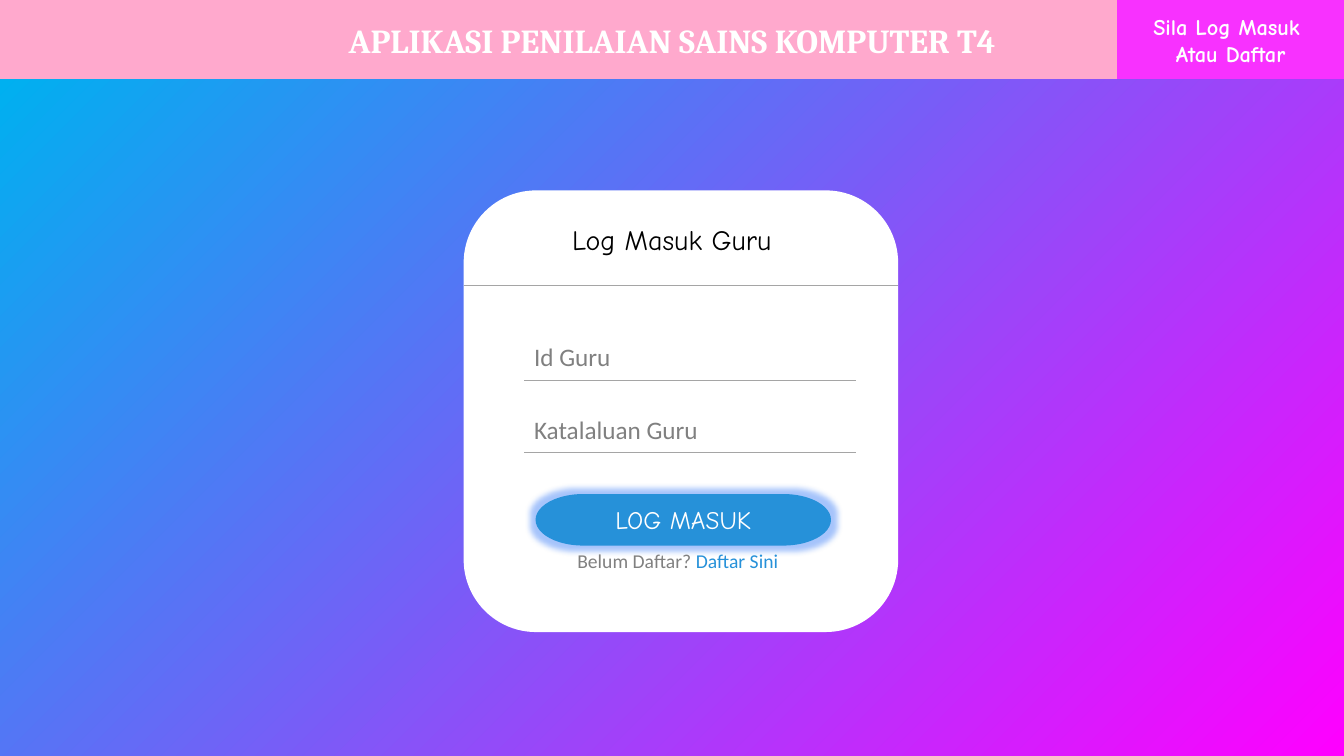
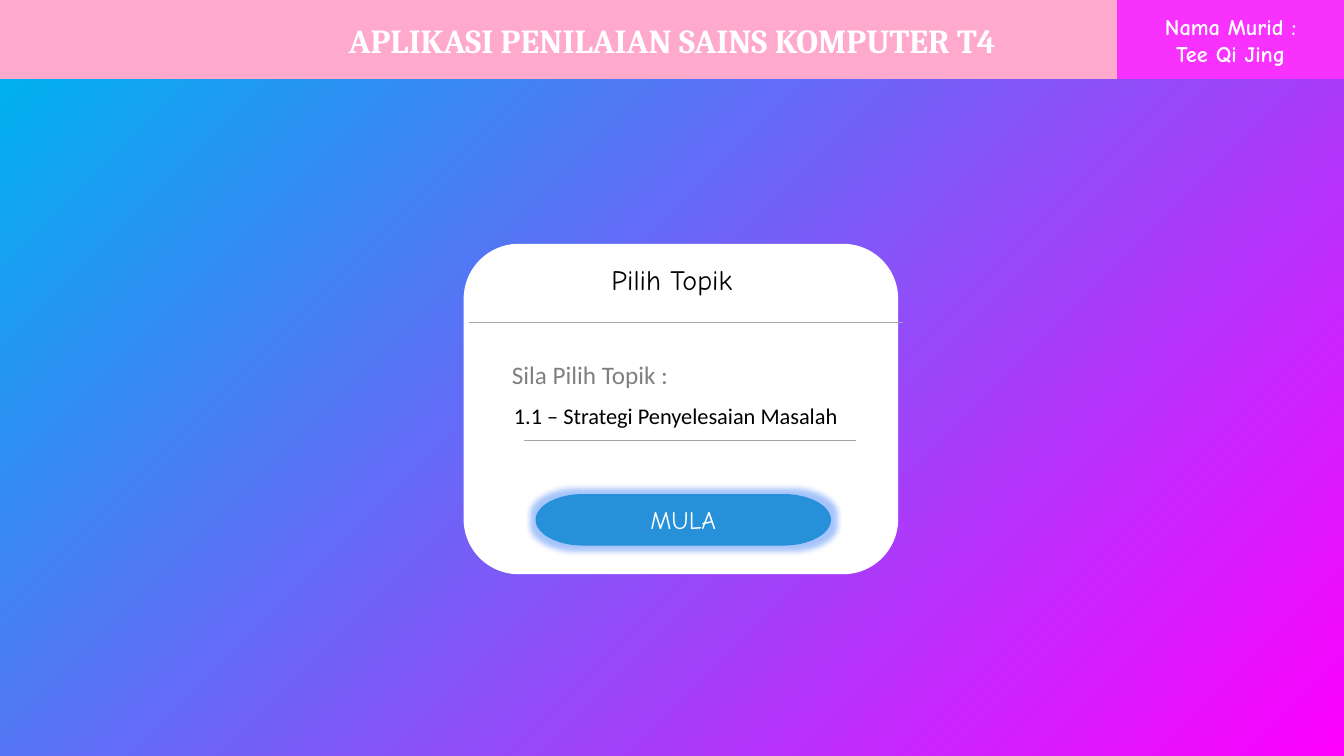
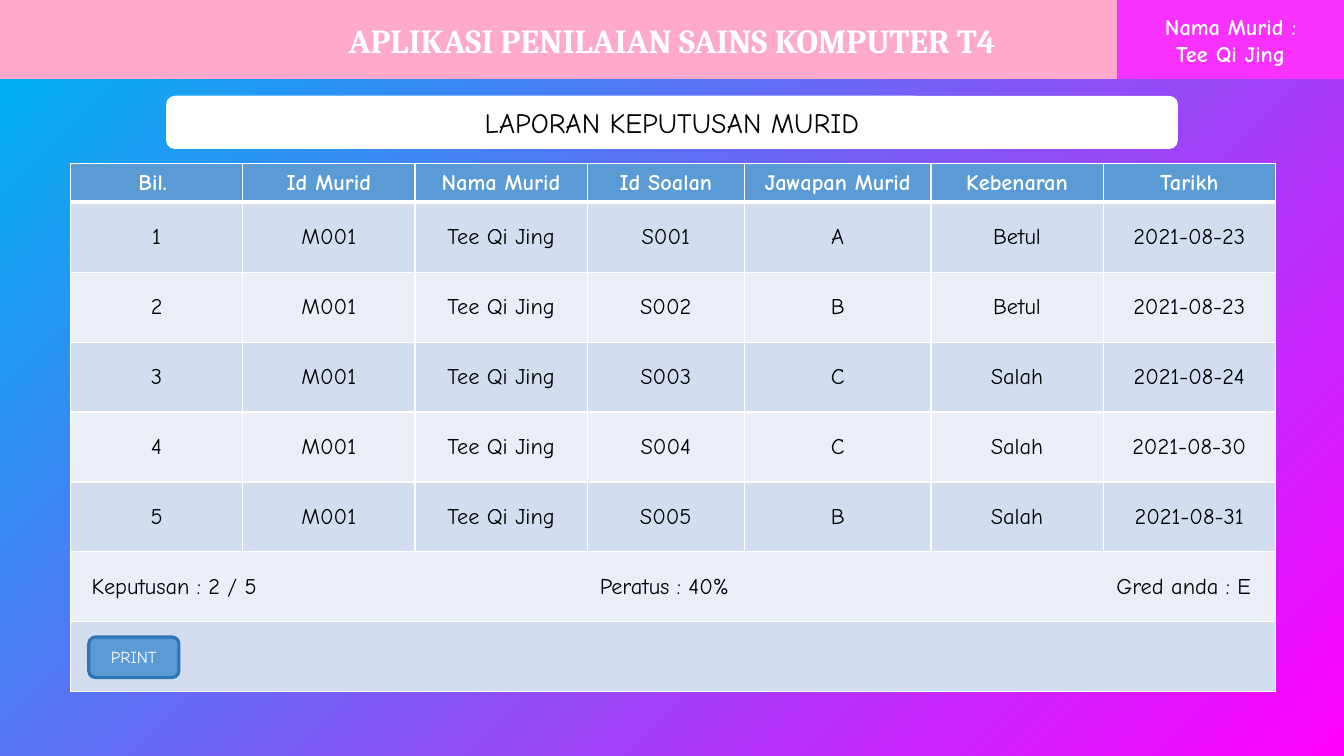
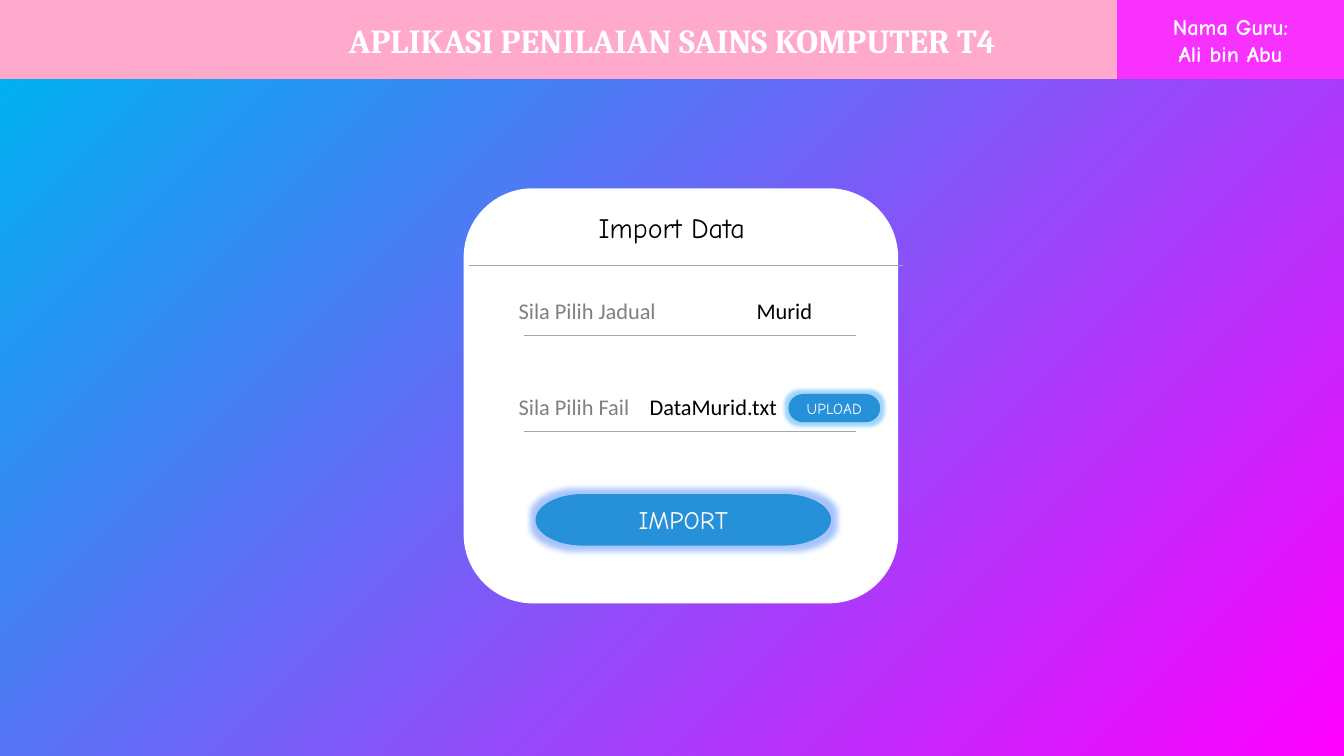
from dataclasses import dataclass, replace

from lxml.etree import SubElement
from pptx import Presentation
from pptx.dml.color import RGBColor
from pptx.enum.shapes import MSO_CONNECTOR, MSO_SHAPE
from pptx.enum.text import MSO_ANCHOR, MSO_AUTO_SIZE, PP_ALIGN
from pptx.oxml.ns import qn
from pptx.util import Pt

WHITE = RGBColor(0xFF, 0xFF, 0xFF)
BLACK = RGBColor(0x00, 0x00, 0x00)
GRAY = RGBColor(0x80, 0x80, 0x80)
RULE_GRAY = RGBColor(0xA5, 0xA5, 0xA5)
BANNER_PINK = RGBColor(0xFF, 0xA9, 0xCD)
USER_PINK = RGBColor(0xF8, 0x31, 0xFF)
MAGENTA = RGBColor(0xFF, 0x00, 0xFF)
CYAN = RGBColor(0x00, 0xB0, 0xF0)
BUTTON_BLUE = RGBColor(0x26, 0x91, 0xD9)
GLOW_BLUE = RGBColor(0x21, 0x6C, 0xF7)
GLOW_CYAN = RGBColor(0x10, 0x98, 0xF0)
TABLE_BLUE = RGBColor(0x5B, 0x9B, 0xD5)
PRINT_BORDER = RGBColor(0x2E, 0x75, 0xB6)
BAND_DARK = RGBColor(0xD2, 0xDE, 0xEF)
BAND_LIGHT = RGBColor(0xEA, 0xEF, 0xF7)

SLIDE_WIDTH, SLIDE_HEIGHT = 960, 540
BANNER_HEIGHT = 56.9
USER_LEFT = 798
CARD_LEFT, CARD_WIDTH = 331.2, 310.4
FIELD_LEFT, FIELD_WIDTH = 374.4, 236.9
STUDENT = ("Nama Murid :", "Tee Qi Jing")


@dataclass(frozen=True)
class TextStyle:
    font: str
    size: float
    color: RGBColor
    bold: bool = False
    align: PP_ALIGN = PP_ALIGN.CENTER


BANNER_TEXT = TextStyle("Cambria", 24, WHITE, True)
USER_TEXT = TextStyle("Comic Neue", 16, WHITE, True)
HEADING_TEXT = TextStyle("Comic Neue", 20, BLACK)
BUTTON_TEXT = TextStyle("Comic Neue", 18, WHITE)
CELL_TEXT = TextStyle("Comic Neue", 16, BLACK)
FIELD_TEXT = TextStyle("Calibri", 18, GRAY, align=PP_ALIGN.LEFT)
LABEL_TEXT = replace(FIELD_TEXT, size=16)
VALUE_TEXT = replace(LABEL_TEXT, color=BLACK)
HINT_TEXT = TextStyle("Calibri", 14, GRAY)


def box(left, top, width, height):
    return Pt(left), Pt(top), Pt(width), Pt(height)


def add_run(paragraph, text, style):
    paragraph.alignment = style.align
    run = paragraph.add_run()
    run.text = text
    run.font.name = style.font
    run.font.size = Pt(style.size)
    run.font.bold = style.bold
    run.font.color.rgb = style.color


def write_lines(frame, lines, style):
    frame.word_wrap = True
    frame.vertical_anchor = MSO_ANCHOR.MIDDLE
    for index, line in enumerate(lines):
        paragraph = frame.add_paragraph() if index else frame.paragraphs[0]
        add_run(paragraph, line, style)


def set_tabs(paragraph, positions):
    tab_list = SubElement(paragraph._p.get_or_add_pPr(), qn("a:tabLst"))
    for position in positions:
        SubElement(tab_list, qn("a:tab"), pos=str(Pt(position)), algn="l")


def add_panel(slide, kind, area, color=None, lines=(), style=None):
    shape = slide.shapes.add_shape(kind, *box(*area))
    shape.shadow.inherit = False
    shape.line.fill.background()
    if color is not None:
        shape.fill.solid()
        shape.fill.fore_color.rgb = color
    if lines:
        write_lines(shape.text_frame, lines, style)
    return shape


def add_gradient(slide):
    area = (0, BANNER_HEIGHT, SLIDE_WIDTH, SLIDE_HEIGHT - BANNER_HEIGHT)
    fill = add_panel(slide, MSO_SHAPE.RECTANGLE, area).fill
    fill.gradient()
    fill.gradient_angle = 135
    for stop, color, position in zip(fill.gradient_stops, (MAGENTA, CYAN), (0, 1)):
        stop.color.rgb = color
        stop.position = position


def add_text(slide, area, *runs, tabs=()):
    frame = slide.shapes.add_textbox(*box(*area)).text_frame
    frame.word_wrap = True
    paragraph = frame.paragraphs[0]
    for text, style in runs:
        add_run(paragraph, text, style)
    if tabs:
        set_tabs(paragraph, tabs)


def add_rule(slide, left, top, width):
    line = slide.shapes.add_connector(
        MSO_CONNECTOR.STRAIGHT, Pt(left), Pt(top), Pt(left + width), Pt(top))
    line.line.color.rgb = RULE_GRAY
    line.line.width = Pt(0.5)
    SubElement(line.element.spPr, qn("a:effectLst"))


def add_field_rule(slide, top):
    add_rule(slide, FIELD_LEFT, top, FIELD_WIDTH)


def add_button(slide, text, area=(382.6, 352.9, 211, 36.8), size=18,
               glow_color=GLOW_BLUE, glow_radius=8):
    button = add_panel(slide, MSO_SHAPE.FLOWCHART_TERMINATOR, area, BUTTON_BLUE,
                       [text], replace(BUTTON_TEXT, size=size))
    effects = button.element.spPr.find(qn("a:effectLst"))
    glow = SubElement(effects, qn("a:glow"), rad=str(Pt(glow_radius)))
    color = SubElement(glow, qn("a:srgbClr"), val=str(glow_color))
    SubElement(color, qn("a:alpha"), val="40000")


def place_title(slide, text, area):
    title = slide.shapes.title
    title.left, title.top, title.width, title.height = box(*area)
    title.text_frame.auto_size = MSO_AUTO_SIZE.NONE
    write_lines(title.text_frame, [text], HEADING_TEXT)
    title.element.getparent().append(title.element)


def add_page(presentation, user_lines):
    slide = presentation.slides.add_slide(presentation.slide_layouts[5])
    add_panel(slide, MSO_SHAPE.RECTANGLE, (0, 0, SLIDE_WIDTH, BANNER_HEIGHT), BANNER_PINK,
              ["APLIKASI PENILAIAN SAINS KOMPUTER T4"], BANNER_TEXT)
    add_panel(slide, MSO_SHAPE.RECTANGLE,
              (USER_LEFT, 0, SLIDE_WIDTH - USER_LEFT, BANNER_HEIGHT), USER_PINK,
              user_lines, USER_TEXT)
    add_gradient(slide)
    return slide


def add_card(slide, heading, top, height, heading_top, rule_top, rule_left=334.8):
    add_panel(slide, MSO_SHAPE.ROUNDED_RECTANGLE,
              (CARD_LEFT, top, CARD_WIDTH, height), WHITE)
    add_rule(slide, rule_left, rule_top, CARD_WIDTH)
    place_title(slide, heading, (392.4, heading_top, 175, 31.5))


def format_cell(cell, color, top_width=1, bottom_width=1):
    properties = cell._tc.get_or_add_tcPr()
    widths = {"a:lnL": 1, "a:lnR": 1, "a:lnT": top_width, "a:lnB": bottom_width}
    for tag, width in widths.items():
        border = SubElement(properties, qn(tag), w=str(Pt(width)))
        fill = SubElement(border, qn("a:solidFill"))
        SubElement(fill, qn("a:srgbClr"), val=str(WHITE))
    cell.fill.solid()
    cell.fill.fore_color.rgb = color


def add_results_table(slide):
    header = ("Bil. ", "Id Murid", "Nama Murid", "Id Soalan", "Jawapan Murid",
              "Kebenaran", "Tarikh")
    answers = (("A", "Betul", "2021-08-23"), ("B", "Betul", "2021-08-23"),
               ("C", "Salah", "2021-08-24"), ("C", "Salah", "2021-08-30"),
               ("B", "Salah", "2021-08-31"))
    records = [(str(number), "M001", "Tee Qi Jing", f"S00{number}", *answer)
               for number, answer in enumerate(answers, 1)]
    column_widths = (123, 123, 123, 112.4, 133.2, 123, 123)
    row_heights = [28] + [49.95] * 7
    table = slide.shapes.add_table(
        len(row_heights), len(column_widths),
        *box(50.4, 116.5, sum(column_widths), sum(row_heights))).table
    for column, width in zip(table.columns, column_widths):
        column.width = Pt(width)
    for row, height in zip(table.rows, row_heights):
        row.height = Pt(height)

    for column_index, text in enumerate(header):
        cell = table.cell(0, column_index)
        format_cell(cell, TABLE_BLUE, bottom_width=3)
        write_lines(cell.text_frame, [text], USER_TEXT)
        cell.vertical_anchor = MSO_ANCHOR.MIDDLE
    for row_index, record in enumerate(records, 1):
        color = BAND_DARK if row_index % 2 else BAND_LIGHT
        for column_index, text in enumerate(record):
            cell = table.cell(row_index, column_index)
            format_cell(cell, color, top_width=3 if row_index == 1 else 1)
            write_lines(cell.text_frame, [text], CELL_TEXT)
            cell.vertical_anchor = MSO_ANCHOR.MIDDLE

    last_column = len(column_widths) - 1
    for row_index, color in ((6, BAND_LIGHT), (7, BAND_DARK)):
        cell = table.cell(row_index, 0)
        cell.merge(table.cell(row_index, last_column))
        format_cell(cell, color)
    summary = table.cell(6, 0)
    summary.vertical_anchor = MSO_ANCHOR.MIDDLE
    summary.margin_left = Pt(15)
    paragraph = summary.text_frame.paragraphs[0]
    add_run(paragraph, "Keputusan : 2 / 5\tPeratus : 40%\tGred anda : E",
            replace(CELL_TEXT, align=PP_ALIGN.LEFT))
    set_tabs(paragraph, (363, 732))


def build_login(presentation):
    slide = add_page(presentation, ("Sila Log Masuk ", "Atau Daftar"))
    add_card(slide, "Log Masuk Guru", 136, 315.5, 155.5, 203.8, CARD_LEFT)
    for text, top in (("Id Guru", 240.5), ("Katalaluan Guru", 292.3)):
        add_text(slide, (FIELD_LEFT, top, 178, 29), (text, FIELD_TEXT))
        add_field_rule(slide, top + 31)
    add_button(slide, "LOG MASUK")
    add_text(slide, (380.2, 388.8, 211, 24.5), ("Belum Daftar? ", HINT_TEXT),
             ("Daftar Sini ", replace(HINT_TEXT, color=BUTTON_BLUE)))


def build_topic(presentation):
    slide = add_page(presentation, STUDENT)
    add_card(slide, "Pilih Topik", 174.2, 236, 183.6, 230.3)
    add_text(slide, (358.5, 252.8, 178, 29), ("Sila Pilih Topik :", FIELD_TEXT))
    add_button(slide, "MULA")
    add_field_rule(slide, 314.5)
    add_text(slide, (360, 283.6, 268, 26.6),
             ("1.1 – Strategi Penyelesaian Masalah", VALUE_TEXT))


def build_report(presentation):
    slide = add_page(presentation, STUDENT)
    area = (118.6, 68.4, 722.8, 38)
    add_panel(slide, MSO_SHAPE.ROUNDED_RECTANGLE, area, WHITE)
    place_title(slide, "LAPORAN KEPUTUSAN MURID", area)
    add_results_table(slide)
    print_button = add_panel(slide, MSO_SHAPE.ROUNDED_RECTANGLE, (63.4, 455, 64.4, 29),
                             TABLE_BLUE, ["PRINT"], replace(BUTTON_TEXT, size=12))
    print_button.line.color.rgb = PRINT_BORDER
    print_button.line.width = Pt(2.25)


def build_import(presentation):
    slide = add_page(presentation, ("Nama Guru:", "Ali bin Abu"))
    add_card(slide, "Import Data", 134.5, 296.5, 146.5, 189.5)
    add_button(slide, "IMPORT")
    fields = (("Sila Pilih Jadual", "Murid", 208.6, 170),
              ("Sila Pilih Fail", "DataMurid.txt", 277.2, 93.5))
    for label, value, top, tab in fields:
        add_field_rule(slide, top + 31)
        add_text(slide, (363.4, top, 237, 26.6), (f"{label}\t", LABEL_TEXT),
                 (value, VALUE_TEXT), tabs=[tab])
    add_button(slide, "UPLOAD", (563.2, 281.4, 65.6, 20.2), 11, GLOW_CYAN, 5)


def main():
    presentation = Presentation()
    presentation.slide_width = Pt(SLIDE_WIDTH)
    presentation.slide_height = Pt(SLIDE_HEIGHT)
    build_login(presentation)
    build_topic(presentation)
    build_report(presentation)
    build_import(presentation)
    presentation.save("out.pptx")


main()
